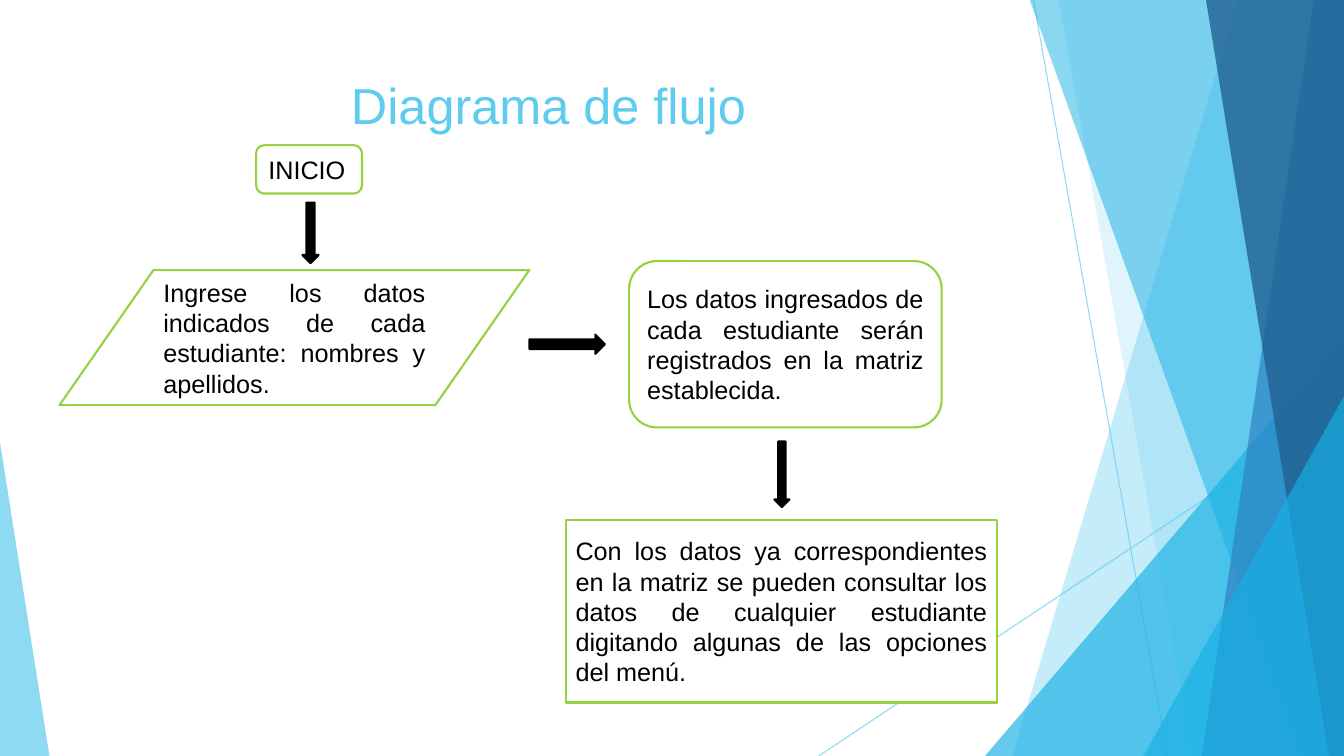
from lxml.etree import SubElement
from pptx import Presentation
from pptx.dml.color import RGBColor
from pptx.enum.shapes import MSO_CONNECTOR, MSO_SHAPE
from pptx.enum.text import MSO_ANCHOR, PP_ALIGN
from pptx.oxml.ns import qn
from pptx.util import Inches, Pt

WIDTH, HEIGHT, TOP = 13.33, 7.5, -0.01
SKY, CYAN, BLUE, NAVY = "5FCBEF", "17B0E4", "2E83C3", "226292"
GREEN, WHITE, BLACK = "96D141", "FFFFFF", "000000"

TITLE = ("Diagrama de flujo", (0.74, 0.67, 9.4, 0.72))
TITLE_FORMAT = {"size": Pt(36), "name": "Arial"}
STEP_FORMAT = {"size": Pt(18), "name": "Arial"}
FRAME_FORMAT = {"word_wrap": True, "vertical_anchor": MSO_ANCHOR.MIDDLE}

RAYS = [((10.25, 0), (11.58, HEIGHT)), ((WIDTH, 4.03), (8.12, HEIGHT))]

BANDS = "band"
TRIANGLES = "triangle"
FACETS = [
    (BANDS, (12.28, 10.04), SKY, 36),
    (BANDS, (10.5, 11.83), SKY, 20),
    (TRIANGLES, (9.77, 3.33, 3.56, 4.17, 1), CYAN, 66),
    (BANDS, (10.21, 12.91), CYAN, 50),
    (BANDS, (13.03, 11.92), BLUE, 70),
    (BANDS, (11.96, 13.18), NAVY, 80),
    (TRIANGLES, (11.34, 3.93, 1.99, 3.57, 1), CYAN, 66),
    (TRIANGLES, (0, 4.39, 0.49, 3.11, 0), SKY, 70),
]

STEPS = [
    (MSO_SHAPE.ROUNDED_RECTANGLE, (2.54, 1.44, 1.05, 0.48), "INICIO"),
    (MSO_SHAPE.FLOWCHART_DATA, (0.59, 2.68, 4.66, 1.34),
     "Ingrese los datos indicados de cada estudiante: nombres y apellidos."),
    (MSO_SHAPE.ROUNDED_RECTANGLE, (6.24, 2.59, 3.1, 1.65),
     "Los datos ingresados de cada estudiante serán registrados en la matriz "
     "establecida."),
    (MSO_SHAPE.RECTANGLE, (5.61, 5.16, 4.28, 1.81),
     "Con los datos ya correspondientes en la matriz se pueden consultar los "
     "datos de cualquier estudiante digitando algunas de las opciones del menú."),
]
ARROWS = [
    (MSO_SHAPE.DOWN_ARROW, (3, 2.01, 0.16, 0.6)),
    (MSO_SHAPE.RIGHT_ARROW, (5.25, 3.32, 0.75, 0.19)),
    (MSO_SHAPE.DOWN_ARROW, (7.68, 4.38, 0.15, 0.65)),
]


def color(value):
    return RGBColor.from_string(value)


def inches(values):
    return [Inches(value) for value in values]


def set_opacity(shape, percent):
    for element in shape._element.spPr.iter(qn("a:srgbClr")):
        SubElement(element, qn("a:alpha"), val=str(percent * 1000))


def paint(shape, fill, line=None):
    shape.shadow.inherit = False
    shape.fill.solid()
    shape.fill.fore_color.rgb = color(fill)
    if line:
        shape.line.color.rgb = color(line)
        shape.line.width = Pt(1.5)
    else:
        shape.line.fill.background()


def write(shape, text, font_format, text_color, alignment):
    frame = shape.text_frame
    for name, value in FRAME_FORMAT.items():
        setattr(frame, name, value)
    paragraph = frame.paragraphs[0]
    paragraph.alignment = alignment
    run = paragraph.add_run()
    run.text = text
    for name, value in font_format.items():
        setattr(run.font, name, value)
    run.font.color.rgb = color(text_color)


def add_ray(shapes, start, end):
    ray = shapes.add_connector(MSO_CONNECTOR.STRAIGHT, *inches(start + end))
    ray.line.color.rgb = color(SKY)
    ray.line.width = Pt(0.75)
    set_opacity(ray, 70)
    SubElement(ray._element.spPr, qn("a:effectLst"))


def add_facet(shapes, kind, geometry, fill, opacity):
    if kind == BANDS:
        top_left, bottom_left = geometry
        builder = shapes.build_freeform(Inches(top_left), Inches(TOP))
        corners = [(WIDTH, TOP), (WIDTH, HEIGHT), (bottom_left, HEIGHT)]
        builder.add_line_segments([inches(corner) for corner in corners])
        facet = builder.convert_to_shape()
    else:
        *box, apex = geometry
        facet = shapes.add_shape(MSO_SHAPE.ISOSCELES_TRIANGLE, *inches(box))
        facet.adjustments[0] = apex
    paint(facet, fill)
    set_opacity(facet, opacity)


def main():
    presentation = Presentation()
    presentation.slide_width = Inches(WIDTH)
    presentation.slide_height = Inches(HEIGHT)
    slide = presentation.slides.add_slide(presentation.slide_layouts[6])
    shapes = slide.shapes

    for start, end in RAYS:
        add_ray(shapes, start, end)
    for facet in FACETS:
        add_facet(shapes, *facet)

    text, box = TITLE
    title = shapes.add_textbox(*inches(box))
    write(title, text, TITLE_FORMAT, SKY, PP_ALIGN.CENTER)

    for kind, box, text in STEPS:
        step = shapes.add_shape(kind, *inches(box))
        paint(step, WHITE, GREEN)
        write(step, text, STEP_FORMAT, BLACK, PP_ALIGN.JUSTIFY)
    for kind, box in ARROWS:
        paint(shapes.add_shape(kind, *inches(box)), BLACK, BLACK)

    presentation.save("out.pptx")


if __name__ == "__main__":
    main()
